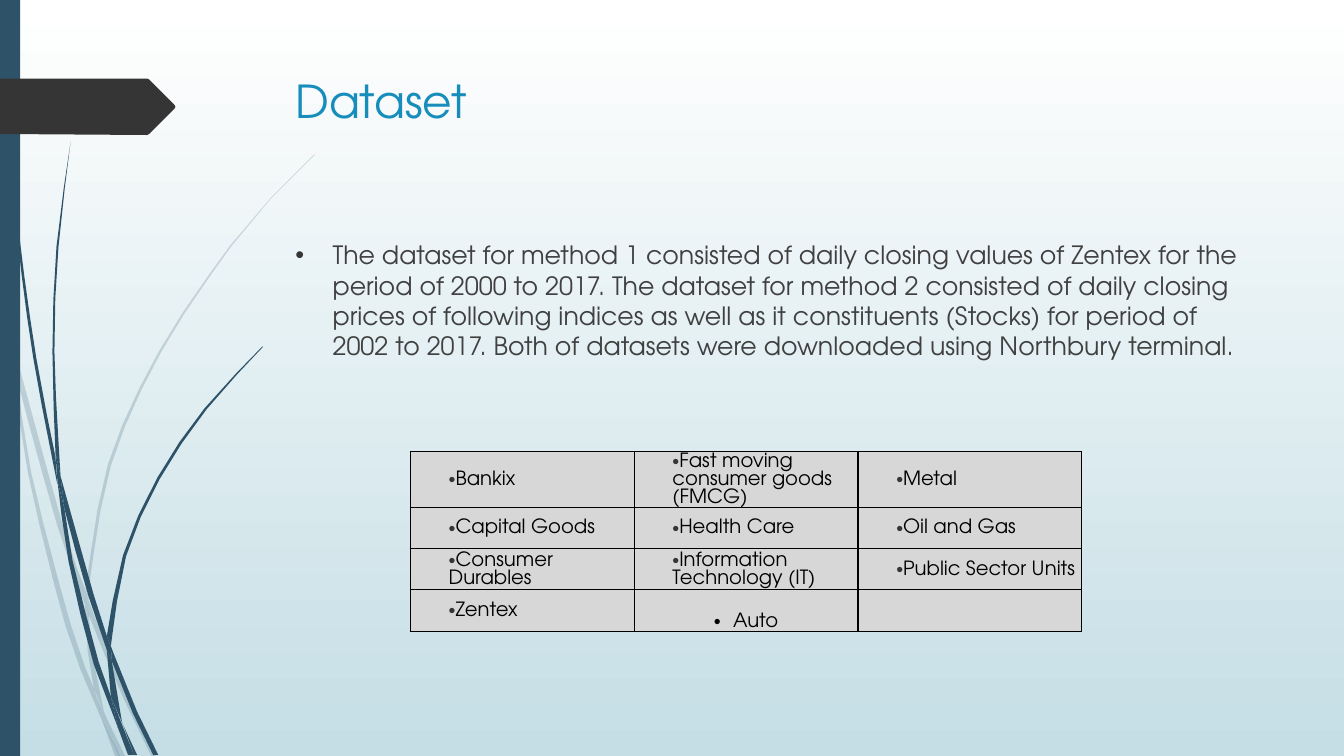
"""Build the Dataset slide with its curved grass motif and sector table."""
import math
from dataclasses import dataclass
from typing import Any, Optional

import pptx
import pptx.dml.color
import pptx.enum.shapes
import pptx.enum.text
import pptx.oxml
import pptx.oxml.ns
import pptx.util

Inches = pptx.util.Inches
Point = tuple[float, float]
FONT = "TeX Gyre Adventor"
NAVY, CHARCOAL, BLACK, GREY = "2E5369", "353535", "000000", "D7D7D7"
CHORD = 0.45


@dataclass
class Blade:
    """Two smooth edges, each a list of x y points, that enclose a sliver."""
    outward: str
    back: str


PALE_BLADES = [
    Blade("0.11 3.5, 0.09 3.22, 0 2.82", "0 2.99, 0.1 3.44"),
    Blade("0.14 3.45, 0.17 3.76, 0.57 5.22, 0.84 5.99", "0.85 5.86, 0.62 5.2, 0.14 3.45"),
    Blade("0.88 5.96, 0.88 6.1, 1.23 6.94, 1.5 7.5", "1.55 7.5, 1.27 6.92, 0.92 6.07"),
    Blade("1.05 7.11, 1.19 7.5", "1.24 7.5"),
    Blade("0.11 3.5, 0.28 4.7, 0.65 6.21, 0.92 6.93, 1.01 7.14",
          "0.93 6.83, 0.7 6.19, 0.31 4.69, 0.17 3.76, 0.11 3.5"),
    Blade("0.84 5.99, 0.87 6.46, 0.93 6.83, 1.05 7.11", "1.03 7.06, 0.91 6.46, 0.88 6.08"),
    Blade("0.88 5.96, 0.88 5.84, 1.1 4.62, 1.6 3.49, 2.29 2.45, 2.68 1.98, 3.12 1.54",
          "3.12 1.53, 2.68 1.97, 2.28 2.44, 1.58 3.48, 1.07 4.61, 0.85 5.84"),
    Blade("1.01 7.14, 1.14 7.5", "1.19 7.5"),
    Blade("0.85 5.86, 0.84 5.99, 0.88 6.08", "0.88 6.1, 0.88 5.96"),
    Blade("0.93 6.83, 1.01 7.14, 1.18 7.5", "1.19 7.5, 1.05 7.11, 0.96 6.92"),
]
DARK_BLADES = [
    Blade("0.03 0, 0.07 1.1, 0.17 2.33, 0.33 3.55, 0.57 4.81",
          "0.55 4.53, 0.36 3.55, 0.19 2.32, 0.08 1.09, 0.04 0"),
    Blade("0.6 4.72, 0.64 5.05, 0.88 5.92, 1.06 6.45", "1.06 6.31, 0.93 5.9, 0.6 4.72"),
    Blade("1.1 6.41, 1.11 6.56, 1.32 7.08, 1.52 7.49", "1.57 7.49, 1.36 7.06, 1.13 6.49"),
    Blade("0.57 4.77, 0.68 5.57, 0.93 6.59, 1.17 7.22",
          "1.1 6.91, 0.98 6.57, 0.72 5.56, 0.64 5.05"),
    Blade("0.6 4.72, 0.54 3.49, 0.58 2.45, 0.7 1.41",
          "0.7 1.41, 0.56 2.45, 0.52 3.49, 0.55 4.49"),
    Blade("1.22 7.19, 1.33 7.49", "1.36 7.49"),
    Blade("0.55 4.49, 0.57 4.77, 0.64 5.05", "0.6 4.72"),
    Blade("1.1 6.41, 1.11 6.33, 1.25 5.52, 1.58 4.76, 2.05 4.06, 2.61 3.44",
          "2.6 3.44, 2.03 4.05, 1.56 4.74, 1.22 5.51, 1.06 6.31"),
    Blade("1.17 7.22, 1.27 7.49", "1.31 7.49"),
    Blade("1.06 6.45, 1.1 6.91, 1.22 7.19", "1.21 7.16, 1.11 6.56"),
    Blade("1.06 6.31, 1.06 6.45", "1.11 6.56, 1.1 6.41"),
    Blade("1.1 6.91, 1.17 7.22, 1.3 7.49", "1.33 7.49, 1.16 7.06"),
]
TAG = "0 0.78, 1.46 0.78, 1.48 0.79, 1.73 1.04, 1.74 1.06, 1.73 1.08, 1.48 1.33, 1.46 1.34, 0 1.33"
BODY = ("The dataset for method 1 consisted of daily closing values of Zentex for the period of "
        "2000 to 2017. The dataset for method 2 consisted of daily closing prices of following "
        "indices as well as it constituents (Stocks) for period of 2002 to 2017. Both of datasets "
        "were downloaded using Northbury terminal.")
SECTORS = [
    ["Bankix", "Fast moving consumer goods (FMCG)", "Metal"],
    ["Capital Goods", "Health Care", "Oil and Gas"],
    ["Consumer Durables", "Information Technology (IT)", "Public Sector Units"],
    ["Zentex", "Auto", ""],
]


def color(value: str) -> pptx.dml.color.RGBColor:
    """Turn a hex string into a colour."""
    return pptx.dml.color.RGBColor.from_string(value)


def points_of(text: str) -> list[Point]:
    """Read x y pairs separated by commas."""
    pairs = [pair.split() for pair in text.split(",")]
    return [(float(x), float(y)) for x, y in pairs]


def smooth(points: list[Point]) -> list[Point]:
    """Pass a Catmull-Rom curve through the points in chords of even length."""
    padded = [points[0], *points, points[-1]]
    curve = [points[0]]
    for a, b, c, d in zip(padded, padded[1:], padded[2:], padded[3:]):
        steps = max(1, round(math.dist(b, c) / CHORD))
        for step in range(1, steps + 1):
            t = step / steps
            x, y = (b[i] + t * (c[i] - a[i]) / 2
                    + t ** 2 * (2 * a[i] - 5 * b[i] + 4 * c[i] - d[i]) / 2
                    + t ** 3 * (3 * b[i] - a[i] - 3 * c[i] + d[i]) / 2 for i in (0, 1))
            curve.append((x, y))
    return curve


def paint(shape: Any, fill: str, opacity: int = 100) -> None:
    """Give a shape a plain fill without line or shadow."""
    shape.shadow.inherit = False
    shape.fill.solid()
    shape.fill.fore_color.rgb = color(fill)
    shape.line.fill.background()
    if opacity < 100:
        tint = shape.element.spPr.find(".//" + pptx.oxml.ns.qn("a:srgbClr"))
        tint.append(pptx.oxml.parse_xml(
            f'<a:alpha {pptx.oxml.ns.nsdecls("a")} val="{opacity * 1000}"/>'))


def add_outline(page: Any, points: list[Point], fill: str, opacity: int = 100) -> None:
    """Draw a closed filled outline."""
    corners = [(Inches(x), Inches(y)) for x, y in points]
    builder = page.shapes.build_freeform(*corners[0])
    builder.add_line_segments(corners[1:], close=True)
    paint(builder.convert_to_shape(), fill, opacity)


def format_text(para: Any, size: float, ink: str) -> None:
    """Set the font of every run in a paragraph."""
    for span in para.runs:
        span.font.name = FONT
        span.font.size = pptx.util.Pt(size)
        span.font.color.rgb = color(ink)


def add_bullet(para: Any, indent: float, ink: str) -> None:
    """Give a paragraph a hanging round bullet."""
    settings = para._p.get_or_add_pPr()
    settings.set("marL", str(Inches(indent)))
    settings.set("indent", str(-Inches(indent)))
    names = pptx.oxml.ns.nsdecls("a")
    for content in (f'<a:buClr {names}><a:srgbClr val="{ink}"/></a:buClr>',
                    f'<a:buFont {names} typeface="Arial"/>',
                    f'<a:buChar {names} char="•"/>'):
        settings.append(pptx.oxml.parse_xml(content))


def add_text(page: Any, top: float, height: float, text: str, size: float, ink: str,
             indent: Optional[float] = None) -> None:
    """Place a text box in the content column."""
    box = page.shapes.add_textbox(Inches(2.83), Inches(top), Inches(9.75), Inches(height))
    box.text_frame.word_wrap = True
    box.text_frame.text = text
    para = box.text_frame.paragraphs[0]
    format_text(para, size, ink)
    if indent is not None:
        add_bullet(para, indent, CHARCOAL)


def style_cell(cell: Any, text: str) -> None:
    """Fill, border and label one sector cell."""
    centred = text == "Auto"
    cell.margin_left = Inches(0.01 if centred else 0.38)
    cell.margin_top = cell.margin_right = Inches(0.01)
    cell.margin_bottom = 0
    anchors = pptx.enum.text.MSO_ANCHOR
    cell.vertical_anchor = anchors.BOTTOM if centred else anchors.MIDDLE
    settings = cell._tc.get_or_add_tcPr()
    for side in ("lnL", "lnR", "lnT", "lnB"):
        settings.append(pptx.oxml.parse_xml(
            f'<a:{side} {pptx.oxml.ns.nsdecls("a")} w="12700"><a:solidFill>'
            f'<a:srgbClr val="{BLACK}"/></a:solidFill></a:{side}>'))
    cell.fill.solid()
    cell.fill.fore_color.rgb = color(GREY)
    if text:
        cell.text_frame.text = text
        para = cell.text_frame.paragraphs[0]
        para.line_spacing = pptx.util.Pt(13)
        if centred:
            para.alignment = pptx.enum.text.PP_ALIGN.CENTER
        format_text(para, 14, BLACK)
        add_bullet(para, 0.19 if centred else 0, BLACK if centred else CHARCOAL)


def add_sector_table(page: Any) -> None:
    """Place the table of sector indices."""
    table = page.shapes.add_table(len(SECTORS), len(SECTORS[0]), Inches(4.07), Inches(4.48),
                                  Inches(6.66), Inches(1.77)).table
    table.first_row = table.horz_banding = False
    for index, row in enumerate(SECTORS):
        table.rows[index].height = Inches(0.41 if index else 0.54)
        for column, text in enumerate(row):
            style_cell(table.cell(index, column), text)


def main() -> None:
    """Build and save the deck."""
    deck = pptx.Presentation()
    deck.slide_width, deck.slide_height = Inches(13.33), Inches(7.5)
    page = deck.slides.add_slide(deck.slide_layouts[6])
    backdrop = page.background.fill
    backdrop.gradient()
    backdrop.gradient_angle = 270
    for stop, (position, tint) in zip(backdrop.gradient_stops, [(0, "FFFFFF"), (1, "C5DEE5")]):
        stop.position = position
        stop.color.rgb = color(tint)
    for blades, opacity in ((PALE_BLADES, 20), (DARK_BLADES, 100)):
        for blade in blades:
            edges = smooth(points_of(blade.outward)) + smooth(points_of(blade.back))
            add_outline(page, edges, NAVY, opacity)
    stripe = page.shapes.add_shape(pptx.enum.shapes.MSO_SHAPE.RECTANGLE,
                                   0, 0, Inches(0.2), deck.slide_height)
    paint(stripe, NAVY)
    add_outline(page, points_of(TAG), CHARCOAL)
    add_text(page, 0.68, 1.4, "Dataset", 32.4, "178DBB")
    add_text(page, 2.33, 4.13, BODY, 18, "404040", 0.37)
    add_sector_table(page)
    deck.save("out.pptx")


if __name__ == "__main__":
    main()
